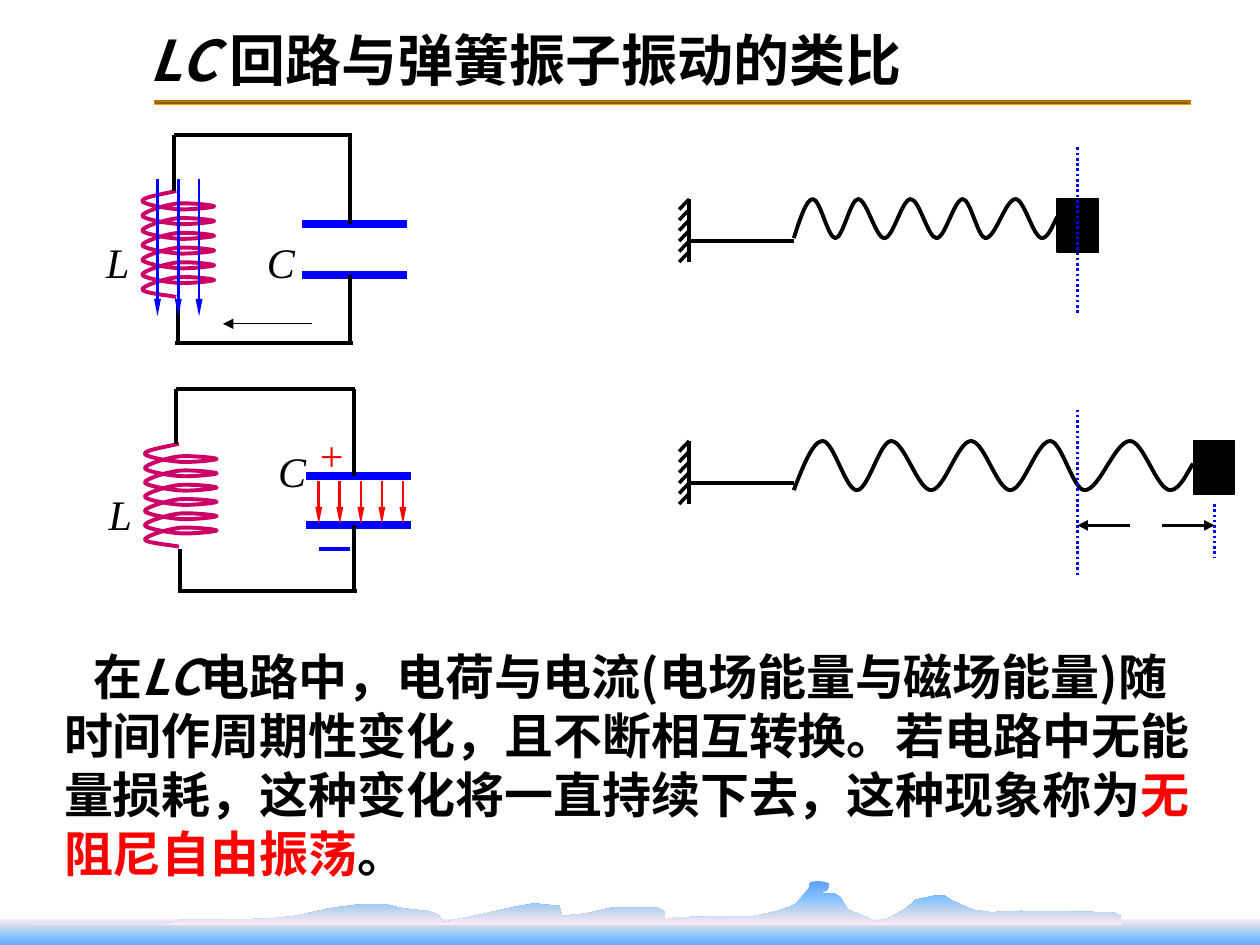
from lxml import etree
from pptx import Presentation
from pptx.dml.color import RGBColor
from pptx.enum.dml import MSO_LINE as Dash
from pptx.enum.shapes import MSO_CONNECTOR as Conn, MSO_SHAPE as Kind
from pptx.enum.text import MSO_ANCHOR as Anchor, PP_ALIGN as Align
from pptx.oxml import parse_xml
from pptx.oxml.ns import nsdecls, qn
from pptx.util import Inches, Pt

SANS, SERIF = "Noto Sans CJK SC", "Times New Roman"
BLACK, BLUE, RED, PINK, WHITE = "000000", "0000FF", "FF0000", "CC0066", "FFFFFF"
HILLS = [
    (0.23, 7.34), (1.3, 7.34), (1.43, 7.3), (1.78, 7.3), (2.14, 7.29), (2.34, 7.27),
    (2.48, 7.24), (2.61, 7.21), (2.83, 7.18), (3.07, 7.18), (3.2, 7.21), (3.39, 7.23),
    (3.48, 7.26), (3.51, 7.32), (3.81, 7.26), (3.94, 7.23), (4.07, 7.2), (4.24, 7.17),
    (4.44, 7.19), (4.46, 7.27), (4.65, 7.25), (4.87, 7.2), (5.2, 7.2), (5.27, 7.23),
    (5.28, 7.3), (5.37, 7.28), (5.89, 7.27), (5.99, 7.27), (6.17, 7.23), (6.26, 7.2),
    (6.32, 7.17), (6.42, 7.05), (6.43, 7), (6.5, 6.99), (6.58, 7.01), (6.57, 7.06),
    (6.51, 7.09), (6.62, 7.09), (6.67, 7.12), (6.73, 7.22), (6.88, 7.28), (6.95, 7.32),
    (7.07, 7.28), (7.19, 7.21), (7.27, 7.14), (7.41, 7.11), (7.5, 7.11), (7.56, 7.15),
    (7.72, 7.22), (7.86, 7.24), (8.1, 7.23), (8.83, 7.24), (8.89, 7.27), (8.91, 7.34)]


def rgb(code):
    return RGBColor.from_string(code)


def line(shapes, a, b, color=BLACK, width=2.25, dash=None, tip=None):
    """Straight line from a to b; tip is the width and length of an arrowhead at b."""
    link = shapes.add_connector(Conn.STRAIGHT, *map(Inches, (*a, *b)))
    link.line.color.rgb = rgb(color)
    link.line.width = Pt(width)
    if dash:
        link.line.dash_style = dash
    props = link._element.spPr
    if tip:
        etree.SubElement(props.find(qn("a:ln")), qn("a:tailEnd"),
                         type="triangle", w=tip[0], len=tip[1])
    etree.SubElement(props, qn("a:effectLst"))


def outline(shapes, dots, closed=False):
    first, *rest = [(Inches(x), Inches(y)) for x, y in dots]
    pen = shapes.build_freeform(*first, scale=1.0)
    pen.add_line_segments(rest, close=closed)
    form = pen.convert_to_shape()
    form.shadow.inherit = False
    return form


def curve(shapes, start, parts, color):
    """Smooth stroke; each part holds two control points and an end."""
    form = outline(shapes, [start] + [dot for part in parts for dot in part])
    legs = list(form._element.iter(qn("a:lnTo")))
    for k in range(0, len(legs), 3):
        bend = etree.Element(qn("a:cubicBezTo"))
        legs[k].addprevious(bend)
        for leg in legs[k:k + 3]:
            bend.append(leg[0])
            leg.getparent().remove(leg)
    form.fill.background()
    form.line.color.rgb = rgb(color)
    form.line.width = Pt(2.25)


def blend(shape, stops, way):
    """Fill with a gradient whose direction is the XML element way."""
    marks = "".join(f'<a:gs pos="{pos * 1000}"><a:srgbClr val="{c}"/></a:gs>'
                    for pos, c in stops)
    grad = parse_xml(f'<a:gradFill {nsdecls("a")} rotWithShape="1">'
                     f"<a:gsLst>{marks}</a:gsLst>{way}</a:gradFill>")
    shape.fill.background()
    old = shape._element.spPr.find(qn("a:noFill"))
    old.getparent().replace(old, grad)
    shape.line.fill.background()


def block(shapes, x, y, w, h, kind=Kind.RECTANGLE, color=BLACK):
    form = shapes.add_shape(kind, *map(Inches, (x, y, w, h)))
    form.shadow.inherit = False
    form.fill.solid()
    form.fill.fore_color.rgb = form.line.color.rgb = rgb(color)
    form.line.width = Pt(0.75)
    return form


def write(para, text, size, color=BLACK, bold=False, italic=False, face=SANS):
    run = para.add_run()
    run.text = text
    font = run.font
    font.size, font.bold, font.italic, font.name = Pt(size), bold, italic, face
    font.color.rgb = rgb(color)
    etree.SubElement(run._r.get_or_add_rPr(), qn("a:ea"), typeface=face)


def label(shapes, x, y, text, color=BLACK, italic=True):
    box = shapes.add_textbox(*map(Inches, (x, y, 0.4, 0.5)))
    box.text_frame.word_wrap = False
    write(box.text_frame.paragraphs[0], text, 24, color, italic=italic, face=SERIF)


def scenery(shapes):
    rule = block(shapes, 1.22, 0.79, 8.23, 0.04)
    tones = ["825600", "FFA800"] * 4
    blend(rule, zip((0, 13, 28, 43, 58, 72, 87, 100), tones),
          '<a:path path="shape"><a:fillToRect l="50000" t="50000" r="50000" b="50000"/></a:path>')
    down = '<a:lin ang="5400000" scaled="1"/>'
    tones = ["FFEBFA", "C4D6EB", "85C2FF", "5E9EFF"]
    blend(block(shapes, 0, 7.29, 10, 0.24), zip((0, 30, 60, 100), tones), down)
    sun = block(shapes, 6.05, 6.32, 0.4, 0.31, Kind.OVAL, WHITE)
    sun.line.fill.background()
    blend(outline(shapes, HILLS, True), zip((0, 40, 70, 100), tones[::-1]), down)


def heading(title, x, y, w, h):
    title.left, title.top, title.width, title.height = map(Inches, (x, y, w, h))
    title.text_frame.vertical_anchor = Anchor.MIDDLE
    para = title.text_frame.paragraphs[0]
    para.alignment = Align.LEFT
    write(para, "LC ", 32, bold=True, italic=True)
    write(para, "回路与弹簧振子振动的类比", 32, bold=True)


def coil(shapes, x, y, h):
    """Six loops around the axis x, with a lead at each end."""
    step = h * 0.139
    left, right = x - 0.27, x + 0.3

    def loop(top):
        rows = [
            ((left, .2), (x - .09, .5), (x, .55)), ((x + .09, .63), (right, .43), (right, .36)),
            ((right, .28), (x + .09, .1), (x, .18)), ((x - .09, .27), (left, .75), (left, 1))]
        return [[(px, top + py * step) for px, py in row] for row in rows]

    top = y + 0.08
    parts = [[(x - 0.13, y + 0.03), (left, y + 0.05), (left, top)]]
    for k in range(6):
        parts += loop(top + k * step)
    end = y + h
    parts.append([(left, end - 0.03), (x - 0.04, end - 0.01), (x, end)])
    curve(shapes, (x, y), parts, PINK)


def circuit(shapes, x, y, w, h):
    """Coil on the left side and two plates on the right; gives the plate heights."""
    plates = y + 0.43 * h, y + 0.675 * h
    right, base = x + w, y + h
    for level in plates:
        line(shapes, (right - 0.38, level), (right + 0.45, level), BLUE, 4.5)
    coil(shapes, x + 0.02, y + 0.27 * h, 0.51 * h)
    for a, b in [((x, y), (right + 0.01, y)), ((x + 0.01, base), (right + 0.02, base)),
                 ((x, y), (x, y + 0.27 * h)), ((x + 0.03, y + 0.794 * h), (x + 0.03, base)),
                 ((right, y), (right, plates[0])), ((right, plates[1]), (right, base))]:
        line(shapes, a, b)
    label(shapes, x - 0.635, y + 0.46 * h, "L")
    return plates


def current(shapes, x, y, w, h):
    """Circuit with the energy in the magnetic field."""
    circuit(shapes, x, y, w, h)
    label(shapes, x + 0.64, y + 0.76, "C")
    for k in range(3):
        at = x - 0.13 + k * 0.165
        line(shapes, (at, y + 0.35), (at, y + 1.44), BLUE, 1.5, tip=("sm", "lg"))
    line(shapes, (x + 1.1, y + 1.5), (x + 0.39, y + 1.5), width=0.75, tip=("med", "med"))


def charge(shapes, x, y, w, h):
    """Circuit with the energy in the electric field."""
    upper, lower = circuit(shapes, x, y, w, h)
    for k in range(5):
        at = x + 1.13 + k * 0.167
        line(shapes, (at, upper + 0.04), (at, lower - 0.01), RED, 1.5, tip=("sm", "lg"))
    label(shapes, x + 1.04, y + 0.27, "+", RED, False)
    line(shapes, (x + 1.13, y + 1.27), (x + 1.38, y + 1.27), BLUE)
    label(shapes, x + 0.71, y + 0.4, "C")


def spring(shapes, x, y, w, h):
    """Wall, rod, spring of size w by h, and mass."""
    line(shapes, (x, y), (x, y + 0.5))
    for k in range(6):
        top = y + k / 12
        line(shapes, (x, top), (x - 0.08, top + 1 / 12), width=2)
    start = x + 0.83
    line(shapes, (x, y + 0.33), (start, y + 0.33))
    turns = [0.072, 0.158, 0.244, 0.344, 0.444, 0.542, 0.642, 0.728, 0.842, 0.943]
    a, parts = (start, y + h), []
    for k, turn in enumerate(turns):
        b = (start + turn * w, y + h * (k % 2))
        third = (b[0] - a[0]) / 3
        lift = 0 if k else h / 2
        parts.append([(a[0] + third, a[1] - lift), (b[0] - third, b[1]), b])
        a = b
    end = (start + w, y + h * 0.46)
    parts.append([(a[0] + 0.025 * w, a[1]), (end[0] - 0.01 * w, end[1] + 0.1 * h), end])
    curve(shapes, (start, y + h), parts, BLACK)
    block(shapes, start + w, y, 0.33, 0.42)


def shift(shapes, x, y, w):
    """Rest and stretched positions, with the distance between them."""
    for a, b in [((x, y), (x, y + 1.33)), ((x + w, y + 0.75), (x + w, y + 1.17))]:
        line(shapes, a, b, BLUE, 1.5, Dash.ROUND_DOT)
    for a, b in [(x + w - 0.42, x + w), (x + 0.42, x)]:
        line(shapes, (a, y + 0.92), (b, y + 0.92), width=2, tip=("med", "med"))


def summary(shapes, x, y, w, h):
    box = shapes.add_textbox(*map(Inches, (x, y, w, h)))
    box.text_frame.word_wrap = True
    para = box.text_frame.paragraphs[0]
    para.line_spacing = Pt(33.7)
    para._p.get_or_add_pPr().set("indent", str(Inches(0.23)))
    write(para, "在", 28, bold=True)
    write(para, "LC", 28, bold=True, italic=True)
    write(para, "电路中，电荷与电流(电场能量与磁场能量)随时间作周期性变化，且不断相互转换。"
                "若电路中无能量损耗，这种变化将一直持续下去，这种现象称为", 28, bold=True)
    write(para, "无阻尼自由振荡", 28, RED, True)
    write(para, "。", 28, bold=True)


def main():
    deck = Presentation()
    deck.slide_width, deck.slide_height = Inches(10), Inches(7.5)
    slide = deck.slides.add_slide(deck.slide_layouts[5])
    shapes = slide.shapes
    scenery(shapes)
    heading(shapes.title, 1.09, 0.15, 6.59, 0.64)
    spring(shapes, 5.47, 1.58, 2.09, 0.31)
    spring(shapes, 5.47, 3.5, 3.17, 0.39)
    shift(shapes, 8.55, 3.25, 1.09)
    line(shapes, (8.55, 1.17), (8.55, 2.5), BLUE, 1.5, Dash.ROUND_DOT)
    summary(shapes, 0.41, 5.08, 9.25, 1.97)
    charge(shapes, 1.4, 3.09, 1.41, 1.6)
    current(shapes, 1.38, 1.07, 1.4, 1.65)
    deck.save("out.pptx")


if __name__ == "__main__":
    main()
